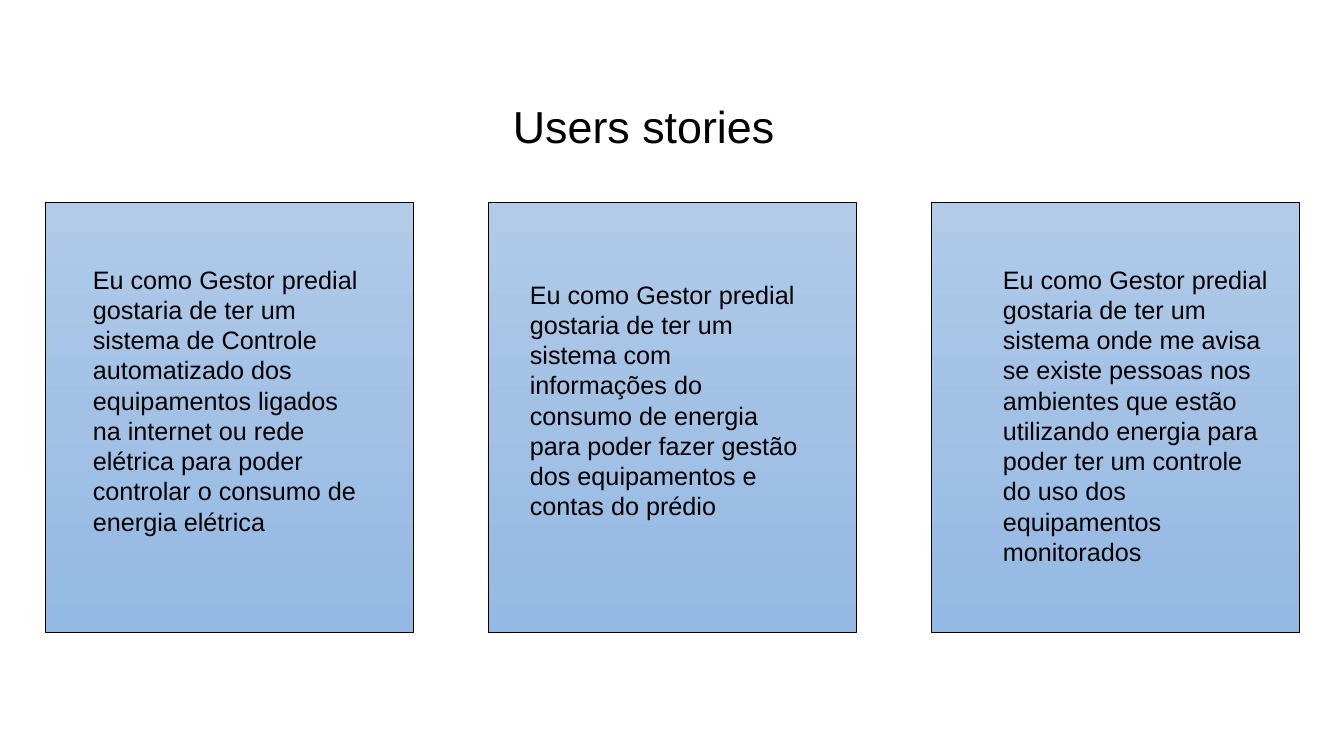
from copy import deepcopy
from dataclasses import dataclass

from pptx import Presentation
from pptx import util as u
from pptx.dml.color import RGBColor
from pptx.enum import shapes, text
from pptx.oxml.ns import qn


@dataclass(frozen=True)
class Theme:
    font: str = "Arial"
    ink: str = "000000"
    gradient: tuple[str, ...] = ("B1CBE9", "A3C1E5", "93B9E4")
    title_size: int = 32
    story_size: int = 18
    outline: float = 0.5


@dataclass(frozen=True)
class Story:
    text_left: int
    text_height: int
    wording: str


THEME = Theme()
EMU_PER_PIXEL = 914400 / 100.8
CARD_LEFT, CARD_TOP, CARD_WIDTH, CARD_HEIGHT = 45, 202, 368, 430
CARD_PITCH = 443
CARD_MIDDLE = CARD_TOP + CARD_HEIGHT // 2
STORY_WIDTH = 294

STORIES = [
    Story(83, 316, "Eu como Gestor predial gostaria de ter um sistema de Controle "
          "automatizado dos equipamentos ligados na internet ou rede elétrica "
          "para poder controlar o consumo de energia elétrica"),
    Story(520, 286, "Eu como Gestor predial gostaria de ter um sistema com "
          "informações do consumo de energia para poder fazer gestão dos "
          "equipamentos e contas do prédio"),
    Story(993, 316, "Eu como Gestor predial gostaria de ter um sistema onde me avisa "
          "se existe pessoas nos ambientes que estão utilizando energia para "
          "poder ter um controle do uso dos equipamentos monitorados"),
]


def px(pixels: int) -> u.Emu:
    return u.Emu(round(pixels * EMU_PER_PIXEL))


def fill_gradient(shape, colours: tuple[str, ...]) -> None:
    shape.fill.gradient()
    shape.fill.gradient_angle = 270
    stop_list = shape._element.spPr.find(".//" + qn("a:gsLst"))
    stop_list.insert(1, deepcopy(stop_list[0]))
    for index, (stop, colour) in enumerate(zip(shape.fill.gradient_stops, colours)):
        stop.position = index / (len(colours) - 1)
        stop.color.rgb = RGBColor.from_string(colour)


def add_card(page, left: int) -> None:
    card = page.shapes.add_shape(shapes.MSO_SHAPE.RECTANGLE, px(left), px(CARD_TOP),
                                 px(CARD_WIDTH), px(CARD_HEIGHT))
    card.shadow.inherit = False
    fill_gradient(card, THEME.gradient)
    card.line.color.rgb = RGBColor.from_string(THEME.ink)
    card.line.width = u.Pt(THEME.outline)


def add_text(page, left: int, top: int, width: int, height: int,
             wording: str, size: int) -> None:
    box = page.shapes.add_textbox(px(left), px(top), px(width), px(height))
    frame = box.text_frame
    frame.text = wording
    frame.word_wrap = True
    frame.auto_size = text.MSO_AUTO_SIZE.SHAPE_TO_FIT_TEXT
    span = frame.paragraphs[0].runs[0]
    span.font.name = THEME.font
    span.font.size = u.Pt(size)
    span.font.color.rgb = RGBColor.from_string(THEME.ink)


def main() -> None:
    deck = Presentation()
    deck.slide_width, deck.slide_height = px(1344), px(756)
    page = deck.slides.add_slide(deck.slide_layouts[6])
    for index in reversed(range(len(STORIES))):
        add_card(page, CARD_LEFT + index * CARD_PITCH)
    add_text(page, 503, 94, 339, 64, "Users stories ", THEME.title_size)
    for story in STORIES:
        add_text(page, story.text_left, CARD_MIDDLE - story.text_height // 2,
                 STORY_WIDTH, story.text_height, story.wording, THEME.story_size)
    deck.save("out.pptx")


main()
